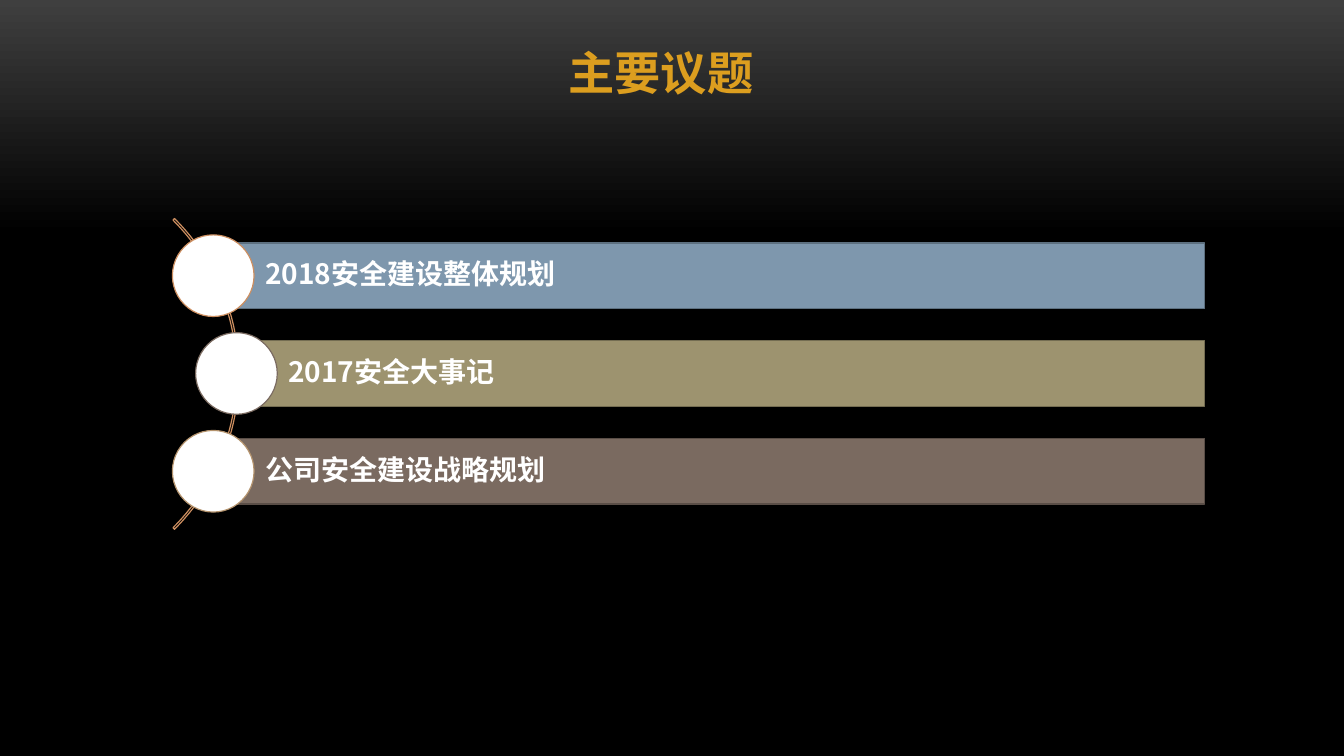
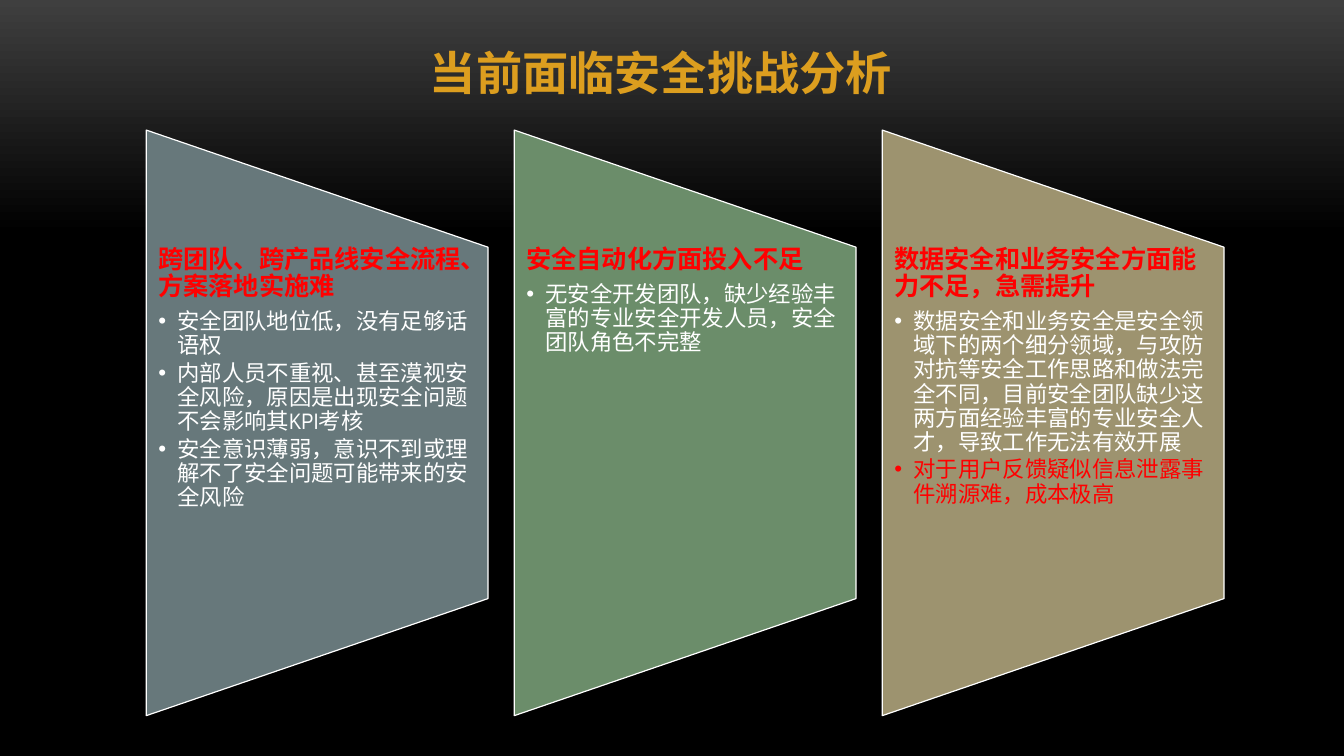
"""Build the two security planning slides."""
from dataclasses import dataclass

from lxml import etree
from pptx import Presentation
from pptx.dml.color import RGBColor
from pptx.enum.shapes import MSO_SHAPE
from pptx.enum.text import MSO_ANCHOR, MSO_AUTO_SIZE, PP_ALIGN
from pptx.oxml.ns import qn
from pptx.util import Emu, Pt

PX = 9144
ARC, RECT, DISC = MSO_SHAPE.BLOCK_ARC, MSO_SHAPE.RECTANGLE, MSO_SHAPE.OVAL
PANEL = MSO_SHAPE.FLOWCHART_MANUAL_OPERATION
LEFT, CENTER = PP_ALIGN.LEFT, PP_ALIGN.CENTER
TOP, MIDDLE = MSO_ANCHOR.TOP, MSO_ANCHOR.MIDDLE
GROW, FIXED = MSO_AUTO_SIZE.SHAPE_TO_FIT_TEXT, MSO_AUTO_SIZE.NONE


@dataclass(frozen=True)
class Theme:
    """Colours, fonts and type sizes of the deck."""
    gold: str = "DC9E1F"
    white: str = "FFFFFF"
    red: str = "FF0000"
    smoke: str = "3F3F3F"
    black: str = "000000"
    blue: str = "7E97AD"
    khaki: str = "9D936F"
    brown: str = "7A6A60"
    slate: str = "67787B"
    green: str = "6B8D6A"
    orange: str = "CC8E60"
    tan: str = "B4936D"
    sans: str = "Noto Sans CJK SC"
    narrow: str = "Arial Narrow"
    title: int = 33
    label: int = 20
    head: int = 18
    body: int = 16
    line: float = 0.85


T = Theme()
TITLE = {"size": T.title, "bold": True, "color": T.gold, "name": T.sans}
LABEL = {"size": T.label, "bold": True, "color": T.white, "name": T.sans}
HEAD = {"size": T.head, "bold": True, "color": T.red, "name": T.narrow}
BODY = {"size": T.body, "bold": False, "color": T.white, "name": T.narrow}
ALERT = {**BODY, "color": T.red}

TOPICS = [
    ("2018安全建设整体规划", 212, T.blue, "5D7080", T.orange),
    ("2017安全大事记", 235, T.khaki, "746D52", T.brown),
    ("公司安全建设战略规划", 212, T.brown, "5A4E47", T.tan),
]
ISSUES = [
    (T.slate, "跨团队、跨产品线安全流程、方案落地实施难", [
        ("安全团队地位低，没有足够话语权", BODY),
        ("内部人员不重视、甚至漠视安全风险，原因是出现安全问题不会影响其KPI考核", BODY),
        ("安全意识薄弱，意识不到或理解不了安全问题可能带来的安全风险", BODY),
    ]),
    (T.green, "安全自动化方面投入不足", [
        ("无安全开发团队，缺少经验丰富的专业安全开发人员，安全团队角色不完整", BODY),
    ]),
    (T.khaki, "数据安全和业务安全方面能力不足，急需提升", [
        ("数据安全和业务安全是安全领域下的两个细分领域，与攻防对抗等安全工作思路和做法完全不同，"
         "目前安全团队缺少这两方面经验丰富的专业安全人才，导致工作无法有效开展", BODY),
        ("对于用户反馈疑似信息泄露事件溯源难，成本极高", ALERT),
    ]),
]


def px(*vals):
    """Turn px lengths into EMU."""
    return [Emu(v * PX) for v in vals]


def put(obj, **vals):
    """Set each named attribute on an object."""
    for key, val in vals.items():
        setattr(obj, key, val)


def shape(slide, kind, box, fill, line):
    """Add a preset shape with a flat fill and a thin outline."""
    item = slide.shapes.add_shape(kind, *px(*box))
    item.shadow.inherit = False
    if fill:
        item.fill.solid()
        item.fill.fore_color.rgb = RGBColor.from_string(fill)
    else:
        item.fill.background()
    item.line.color.rgb = RGBColor.from_string(line)
    item.line.width = Pt(T.line)
    return item


def frame(item, pads, anchor=TOP, size=FIXED):
    """Set the insets, wrap and anchor of a text frame."""
    text = item.text_frame
    sides = ("margin_left", "margin_top", "margin_right", "margin_bottom")
    put(text, word_wrap=True, auto_size=size, vertical_anchor=anchor,
        **dict(zip(sides, px(*pads))))
    return text


def write(para, words, style, **form):
    """Write one styled run into a paragraph."""
    put(para, **form)
    run = para.add_run()
    run.text = words
    put(run.font, size=Pt(style["size"]), bold=style["bold"], name=style["name"])
    run.font.color.rgb = RGBColor.from_string(style["color"])
    etree.SubElement(run.font._element, qn("a:ea"), typeface=style["name"])


def bullet(para):
    """Give a paragraph a hanging round bullet."""
    props = para._p.get_or_add_pPr()
    indent, = px(19)
    props.set("marL", str(indent))
    props.set("indent", str(-indent))
    etree.SubElement(props, qn("a:buFont"), typeface="Arial")
    etree.SubElement(props, qn("a:buChar"), char="•")


def page(deck, title):
    """Add a slide with the shared backdrop and title."""
    slide = deck.slides.add_slide(deck.slide_layouts[6])
    fill = slide.background.fill
    fill.gradient()
    fill.gradient_angle = 270
    shades = ((0, T.smoke), (0.31, T.black))
    for stop, (place, color) in zip(fill.gradient_stops, shades):
        stop.position = place
        stop.color.rgb = RGBColor.from_string(color)
    box = slide.shapes.add_textbox(*px(384, 39, 543, 66))
    text = frame(box, (5, 5, 5, 5), size=GROW)
    write(text.paragraphs[0], title, TITLE, alignment=CENTER)
    return slide


def topic(slide, top, words, left, fill, edge, ring):
    """Add a topic bar with a disc on its left end."""
    bar = shape(slide, RECT, (left, top, 1195 - left, 65), fill, edge)
    text = frame(bar, (51, 6, 6, 6), MIDDLE)
    write(text.paragraphs[0], words, LABEL, alignment=LEFT,
          line_spacing=0.9, space_after=Pt(7))
    shape(slide, DISC, (left - 41, top - 8, 81, 81), T.white, ring)


def issue(slide, left, fill, head, points):
    """Add a tapered panel with a heading and bullets."""
    panel = shape(slide, PANEL, (left - 121, 250, 581, 339), fill, T.white)
    panel.rotation = 270
    box = slide.shapes.add_textbox(*px(left, 245, 339, 349))
    text = frame(box, (12, 0, 12, 0))
    write(text.paragraphs[0], head, HEAD, line_spacing=0.9, space_after=Pt(6.3))
    for words, style in points:
        para = text.add_paragraph()
        write(para, words, style, line_spacing=0.9, space_after=Pt(2.4))
        bullet(para)


def main():
    """Build and save the deck."""
    deck = Presentation()
    width, height = px(1333, 750)
    put(deck, slide_width=width, slide_height=height)

    slide = page(deck, "主要议题")
    arc = shape(slide, ARC, (-199, 153, 436, 436), None, T.orange)
    for num, val in enumerate((189, 27, 0.005)):
        arc.adjustments[num] = val
    for row, item in enumerate(TOPICS):
        topic(slide, 241 + 97 * row, *item)

    slide = page(deck, "当前面临安全挑战分析")
    for col, item in enumerate(ISSUES):
        issue(slide, 145 + 365 * col, *item)

    deck.save("out.pptx")


if __name__ == "__main__":
    main()
